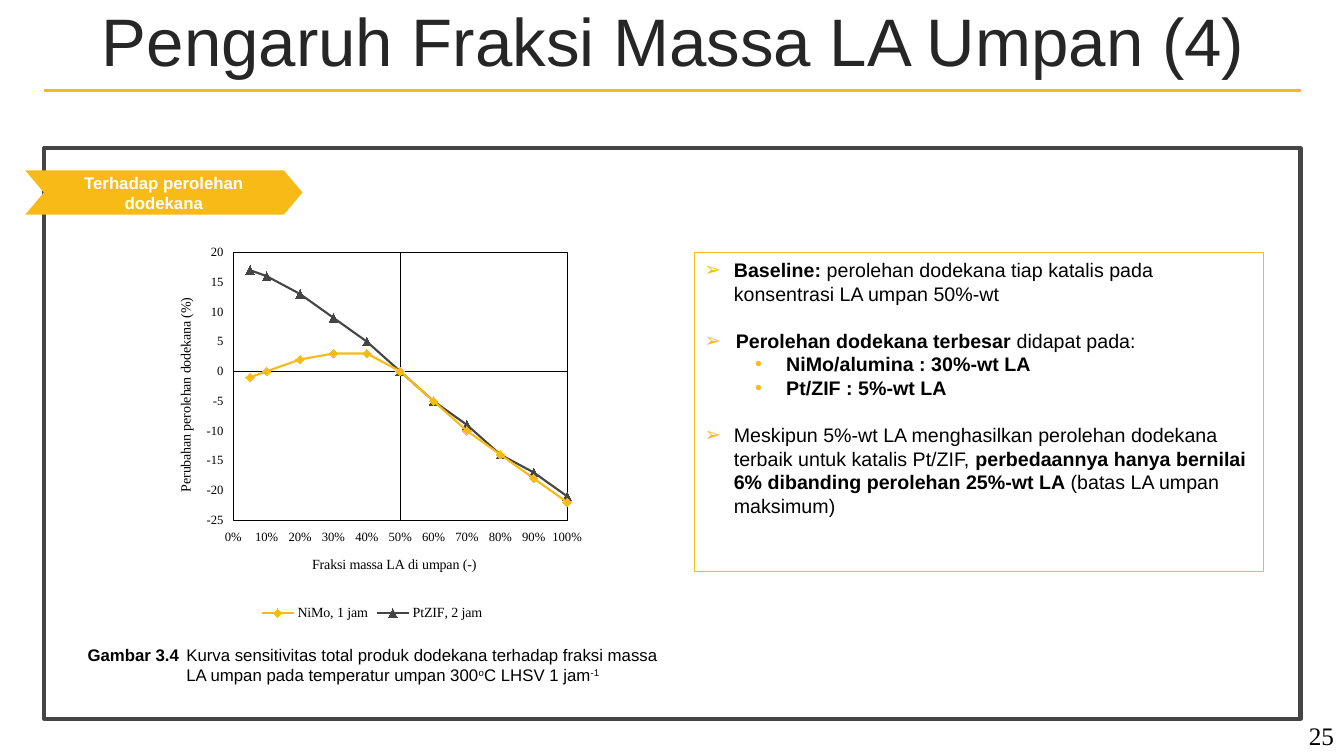
from dataclasses import dataclass
from typing import Any, NamedTuple, Optional

from lxml.etree import SubElement
from pptx import Presentation
from pptx.chart.data import XyChartData
from pptx.dml.color import RGBColor
from pptx.enum.chart import XL_CHART_TYPE, XL_LEGEND_POSITION, XL_MARKER_STYLE, XL_TICK_LABEL_POSITION, XL_TICK_MARK
from pptx.enum.shapes import MSO_CONNECTOR, MSO_SHAPE
from pptx.enum.text import MSO_ANCHOR, PP_ALIGN
from pptx.oxml import parse_xml
from pptx.oxml.ns import nsdecls, qn
from pptx.util import Emu, Pt

EMU_PER_PX = 9144  # 100 px to the inch


@dataclass(frozen=True)
class Theme:
    gold: str = "F8BA16"
    charcoal: str = "454545"
    heading: str = "262626"
    black: str = "000000"
    white: str = "FFFFFF"
    sans: str = "Arial"
    serif: str = "Times New Roman"
    title_size: int = 48
    number_size: int = 18
    body_size: int = 14
    label_size: int = 12
    chart_size: int = 10
    tick_size: int = 9


THEME = Theme()


class Box(NamedTuple):
    left: int
    top: int
    width: int
    height: int


class Run(NamedTuple):
    text: str
    bold: bool = False
    superscript: bool = False


@dataclass(frozen=True)
class Item:
    runs: tuple[Run, ...]
    indent: int = 0
    hanging: int = 0
    bullet: str = ""
    level: int = 0
    space_before: int = 0


class Curve(NamedTuple):
    name: str
    values: tuple[int, ...]
    color: str
    marker: Any


MASS_FRACTIONS = (0.05, *(step / 10 for step in range(1, 11)))
CURVES = (
    Curve("NiMo, 1 jam", (-1, 0, 2, 3, 3, 0, -5, -10, -14, -18, -22), THEME.gold, XL_MARKER_STYLE.DIAMOND),
    Curve("PtZIF, 2 jam", (17, 16, 13, 9, 5, 0, -5, -9, -14, -17, -21), THEME.charcoal, XL_MARKER_STYLE.TRIANGLE),
)
FINDINGS = (
    Item((Run("Baseline: ", True), Run("perolehan dodekana tiap katalis pada konsentrasi LA umpan 50%-wt")),
         29, 29, "➢"),
    Item((Run("Perolehan dodekana terbesar ", True), Run("didapat pada:")), 31, 31, "➢", space_before=17),
    Item((Run("NiMo/alumina : 30%-wt LA", True),), 81, 31, "•", 1),
    Item((Run("Pt/ZIF : 5%-wt LA", True),), 81, 31, "•", 1),
    Item((Run("Meskipun 5%-wt LA menghasilkan perolehan dodekana terbaik untuk katalis Pt/ZIF, "),
          Run("perbedaannya hanya bernilai 6% dibanding perolehan 25%-wt LA ", True),
          Run("(batas LA umpan maksimum)")), 29, 29, "➢", space_before=17),
)
CAPTION = Item((
    Run("Gambar 3.4\t", True),
    Run("Kurva sensitivitas total produk dodekana terhadap fraksi massa LA umpan pada temperatur umpan 300"),
    Run("o", superscript=True), Run("C LHSV 1 jam"), Run("-1", superscript=True)), 98, 98)


def px(length: int) -> Emu:
    return Emu(length * EMU_PER_PX)


def place(box: Box) -> tuple[Emu, ...]:
    return tuple(px(length) for length in box)


def rgb(color: str) -> RGBColor:
    return RGBColor.from_string(color)


def format_font(font: Any, size: int, color: str = THEME.black, name: str = THEME.sans, bold: bool = False) -> None:
    font.size, font.name, font.bold = Pt(size), name, bold
    font.color.rgb = rgb(color)


def write_text(shape: Any, items: tuple[Item, ...], *, size: int, color: str = THEME.black,
               name: str = THEME.sans, align: Any = PP_ALIGN.LEFT, anchor: Any = MSO_ANCHOR.TOP,
               line_spacing: Optional[float] = None) -> None:
    frame = shape.text_frame
    frame.word_wrap = True
    frame.vertical_anchor = anchor
    for index, item in enumerate(items):
        paragraph = frame.paragraphs[0] if index == 0 else frame.add_paragraph()
        paragraph.alignment, paragraph.level = align, item.level
        if line_spacing:
            paragraph.line_spacing = line_spacing
        if item.space_before:
            paragraph.space_before = Pt(item.space_before)
        properties = paragraph._p.get_or_add_pPr()
        if item.indent:
            properties.set("marL", str(px(item.indent)))
            properties.set("indent", str(-px(item.hanging)))
        if item.bullet:
            bullet_color = SubElement(properties, qn("a:buClr"))
            SubElement(bullet_color, qn("a:srgbClr"), val=THEME.gold)
            SubElement(properties, qn("a:buFont"), typeface=THEME.sans)
            SubElement(properties, qn("a:buChar"), char=item.bullet)
        for part in item.runs:
            run = paragraph.add_run()
            run.text = part.text
            format_font(run.font, size, color, name, part.bold)
            if part.superscript:
                run._r.get_or_add_rPr().set("baseline", "30000")


def add_text(slide: Any, box: Box, item: Item, **text_format: Any) -> None:
    write_text(slide.shapes.add_textbox(*place(box)), (item,), **text_format)


def add_shape(slide: Any, preset: Any, box: Box, fill: str = "", line: str = "", line_width: float = 1) -> Any:
    shape = slide.shapes.add_shape(preset, *place(box))
    shape.shadow.inherit = False
    if fill:
        shape.fill.solid()
        shape.fill.fore_color.rgb = rgb(fill)
    else:
        shape.fill.background()
    if line:
        shape.line.color.rgb, shape.line.width = rgb(line), Pt(line_width)
    else:
        shape.line.fill.background()
    return shape


def format_axis(axis: Any, title: str, limits: tuple[float, float], step: float, crossing: float,
                number_format: str) -> None:
    axis.minimum_scale, axis.maximum_scale = limits
    axis.major_unit, axis.crosses_at = step, crossing
    axis.has_major_gridlines = False
    axis.major_tick_mark = axis.minor_tick_mark = XL_TICK_MARK.NONE
    axis.tick_label_position = XL_TICK_LABEL_POSITION.LOW
    axis.tick_labels.number_format, axis.tick_labels.number_format_is_linked = number_format, False
    format_font(axis.tick_labels.font, THEME.tick_size, name=THEME.serif)
    axis.format.line.color.rgb, axis.format.line.width = rgb(THEME.black), Pt(0.75)
    axis.axis_title.text_frame.text = title
    format_font(axis.axis_title.text_frame.paragraphs[0].runs[0].font, THEME.chart_size, name=THEME.serif)


def add_yield_chart(slide: Any, box: Box) -> None:
    data = XyChartData()
    for curve in CURVES:
        series = data.add_series(curve.name)
        for fraction, value in zip(MASS_FRACTIONS, curve.values):
            series.add_data_point(fraction, value)
    chart = slide.shapes.add_chart(XL_CHART_TYPE.XY_SCATTER_LINES, *place(box), data).chart
    format_font(chart.font, THEME.chart_size, name=THEME.serif)
    chart.has_title = False
    chart.has_legend = True
    chart.legend.position, chart.legend.include_in_layout = XL_LEGEND_POSITION.BOTTOM, False
    chart.plots[0].vary_by_categories = False
    format_axis(chart.category_axis, "Fraksi massa LA di umpan (-)", (0, 1), 0.1, 0.5, "0%")
    format_axis(chart.value_axis, "Perubahan perolehan dodekana (%)", (-25, 20), 5, 0, "#,##0")
    for curve, series in zip(CURVES, chart.plots[0].series):
        series.smooth = False
        series.format.line.color.rgb, series.format.line.width = rgb(curve.color), Pt(1.5)
        series.marker.style, series.marker.size = curve.marker, 6
        series.marker.format.fill.solid()
        series.marker.format.fill.fore_color.rgb = rgb(curve.color)
        series.marker.format.line.color.rgb = rgb(curve.color)

    # Plot area position and border
    plot_area = chart._chartSpace.chart.plotArea
    for layout in plot_area.findall(qn("c:layout")):
        plot_area.remove(layout)
    layout = SubElement(plot_area, qn("c:layout"))
    plot_area.insert(0, layout)
    manual = SubElement(layout, qn("c:manualLayout"))
    for tag, value in (("layoutTarget", "inner"), ("xMode", "edge"), ("yMode", "edge"),
                       ("x", "0.18"), ("y", "0.04"), ("w", "0.77"), ("h", "0.69")):
        SubElement(manual, qn(f"c:{tag}"), val=value)
    plot_area.append(parse_xml(
        f'<c:spPr {nsdecls("c", "a")}><a:noFill/><a:ln w="9525"><a:solidFill>'
        f'<a:srgbClr val="{THEME.black}"/></a:solidFill></a:ln></c:spPr>'))


def main() -> None:
    presentation = Presentation()
    presentation.slide_width, presentation.slide_height = px(1333), px(750)
    slide = presentation.slides.add_slide(presentation.slide_layouts[6])

    # Page number and title
    add_text(slide, Box(1262, 710, 71, 40), Item((Run("25"),)), size=THEME.number_size,
             name=THEME.serif, align=PP_ALIGN.RIGHT)
    add_text(slide, Box(35, 5, 1266, 79), Item((Run("Pengaruh Fraksi Massa LA Umpan (4)"),)),
             size=THEME.title_size, color=THEME.heading, align=PP_ALIGN.CENTER,
             anchor=MSO_ANCHOR.MIDDLE, line_spacing=0.9)

    # Frame and section label
    add_shape(slide, MSO_SHAPE.RECTANGLE, Box(44, 147, 1246, 566), line=THEME.charcoal, line_width=3)
    label = add_shape(slide, MSO_SHAPE.CHEVRON, Box(25, 169, 275, 44), fill=THEME.gold)
    label.adjustments[0] = 0.42
    write_text(label, (Item((Run("Terhadap perolehan dodekana", True),)),), size=THEME.label_size,
               color=THEME.white, align=PP_ALIGN.CENTER, anchor=MSO_ANCHOR.MIDDLE)

    # Caption and findings
    add_text(slide, Box(77, 635, 586, 50), CAPTION, size=THEME.label_size)
    findings = add_shape(slide, MSO_SHAPE.RECTANGLE, Box(689, 251, 564, 316), line=THEME.gold, line_width=0.75)
    write_text(findings, FINDINGS, size=THEME.body_size)

    # Title rule
    rule = slide.shapes.add_connector(MSO_CONNECTOR.STRAIGHT, px(44), px(90), px(1290), px(90))
    rule.line.color.rgb, rule.line.width = rgb(THEME.gold), Pt(2.25)
    SubElement(rule._element.spPr, qn("a:effectLst"))

    # Yield chart
    add_yield_chart(slide, Box(154, 235, 430, 385))
    presentation.save("out.pptx")


if __name__ == "__main__":
    main()
